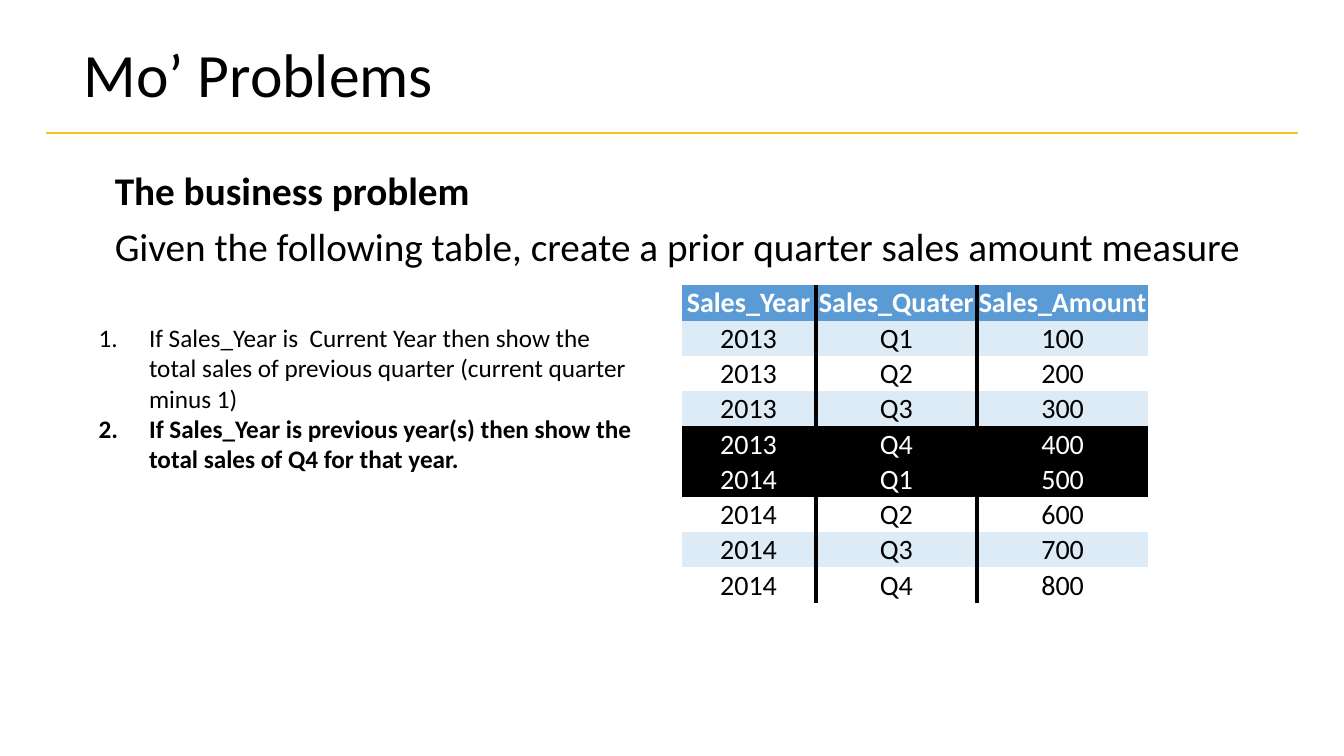
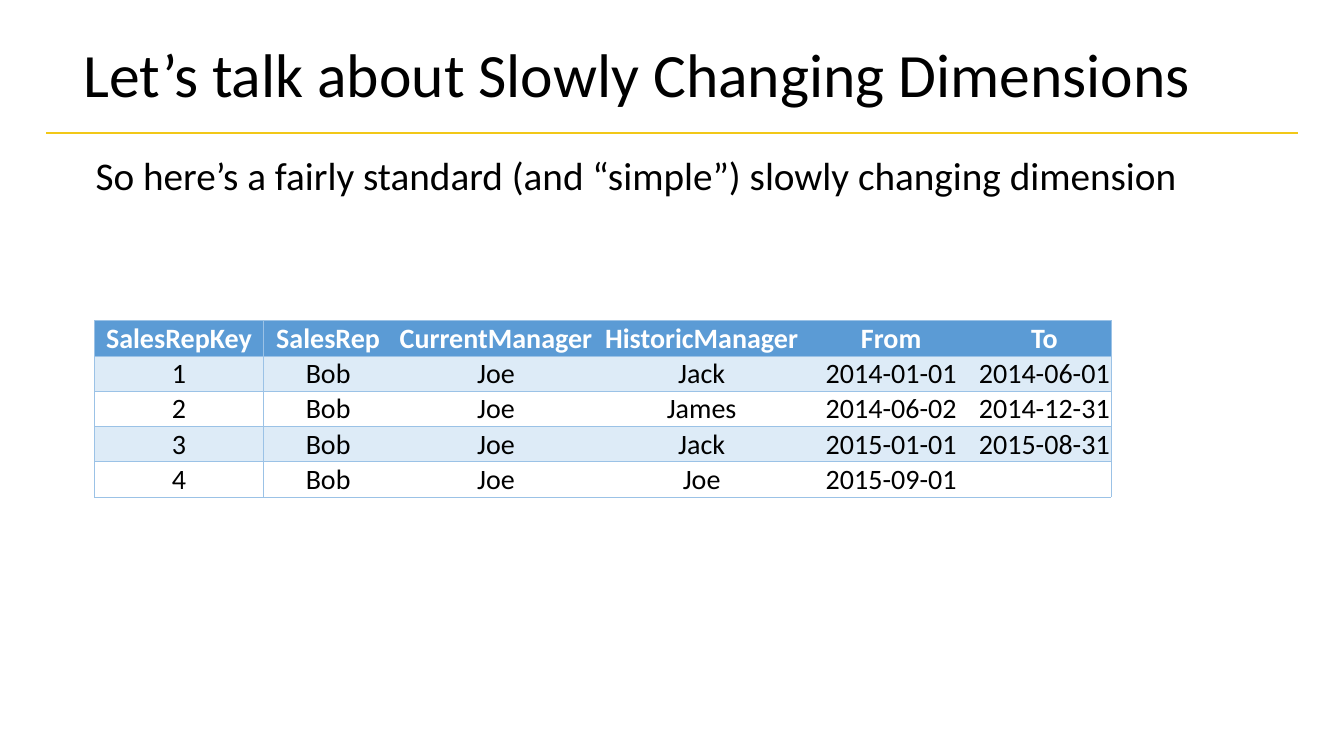
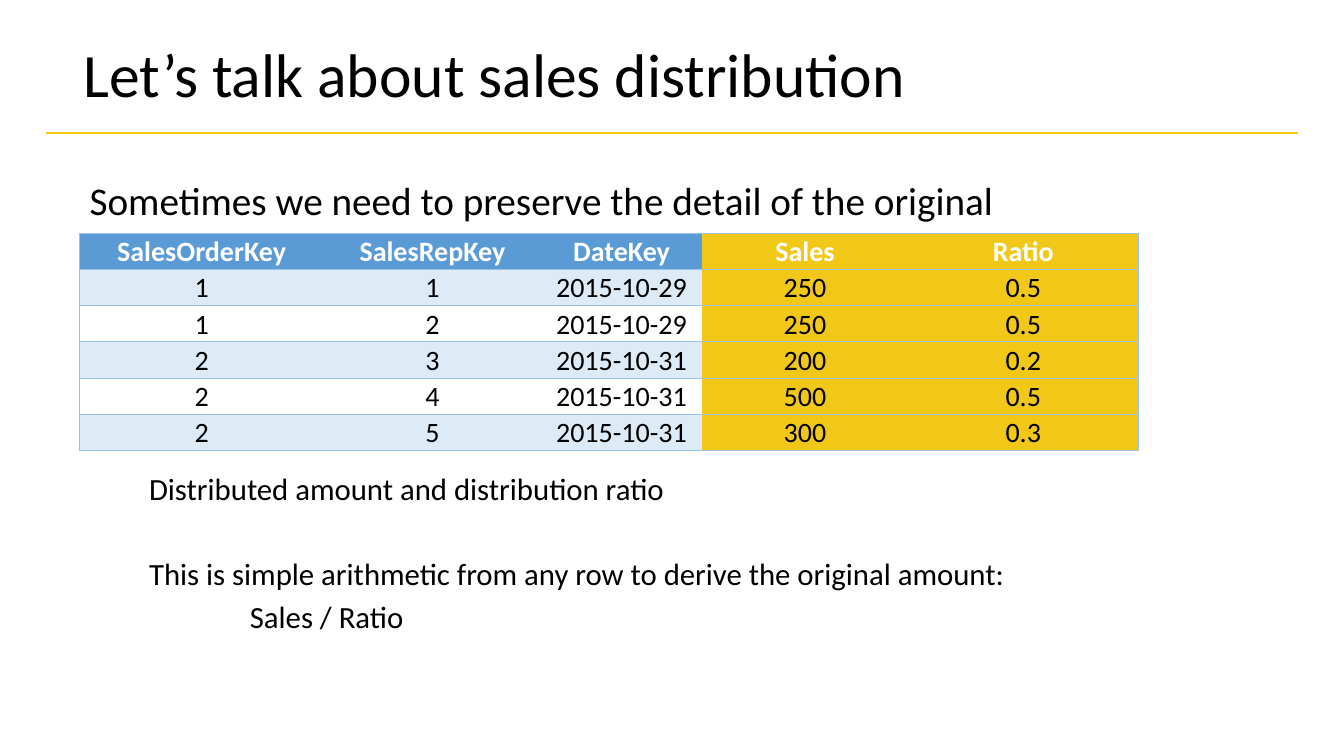
from dataclasses import dataclass

import lxml.etree
import pptx
import pptx.dml.color
import pptx.enum.shapes
import pptx.enum.text
import pptx.oxml.ns
import pptx.presentation
import pptx.shapes.autoshape
import pptx.slide
import pptx.table
import pptx.text.text
import pptx.util
from pptx.util import Inches

RGBColor = pptx.dml.color.RGBColor
Anchor = pptx.enum.text.MSO_ANCHOR
Align = pptx.enum.text.PP_ALIGN
qn = pptx.oxml.ns.qn

BLACK = RGBColor(0x00, 0x00, 0x00)
WHITE = RGBColor(0xFF, 0xFF, 0xFF)
GOLD = RGBColor(0xF2, 0xC8, 0x18)
HEADER_BLUE = RGBColor(0x5B, 0x9B, 0xD5)
BAND_BLUE = RGBColor(0xDD, 0xEB, 0xF7)
GRID_BLUE = RGBColor(0x9B, 0xC2, 0xE6)

FONT = "Calibri"
BODY_INDENT = 0.12


@dataclass(frozen=True)
class Border:
    color: RGBColor
    points: float


@dataclass(frozen=True)
class DataTable:
    """A table's content and rules; column_edges counts from the left side."""
    left: float
    top: float
    row_height: float
    columns: tuple[float, ...]
    rows: tuple[tuple[str, ...], ...]
    border: Border
    column_edges: frozenset[int]
    row_lines: bool = True
    dark_rows: frozenset[int] = frozenset()
    gold_columns: frozenset[int] = frozenset()


THIN_BLUE = Border(GRID_BLUE, 0.5)

QUARTERLY_SALES = DataTable(
    left=6.76, top=2.83, row_height=0.35, columns=(1.33, 1.6, 1.7),
    rows=(
        ("Sales_Year", "Sales_Quater", "Sales_Amount"),
        ("2013", "Q1", "100"),
        ("2013", "Q2", "200"),
        ("2013", "Q3", "300"),
        ("2013", "Q4", "400"),
        ("2014", "Q1", "500"),
        ("2014", "Q2", "600"),
        ("2014", "Q3", "700"),
        ("2014", "Q4", "800"),
    ),
    border=Border(BLACK, 3), column_edges=frozenset({1, 2}),
    row_lines=False, dark_rows=frozenset({4, 5}),
)

SALES_REPS = DataTable(
    left=0.94, top=3.18, row_height=0.35,
    columns=(1.67, 1.29, 2.04, 2.04, 1.72, 1.32),
    rows=(
        ("SalesRepKey", "SalesRep", "CurrentManager", "HistoricManager", "From", "To"),
        ("1", "Bob", "Joe", "Jack", "2014-01-01", "2014-06-01"),
        ("2", "Bob", "Joe", "James", "2014-06-02", "2014-12-31"),
        ("3", "Bob", "Joe", "Jack", "2015-01-01", "2015-08-31"),
        ("4", "Bob", "Joe", "Joe", "2015-09-01", ""),
    ),
    border=THIN_BLUE, column_edges=frozenset({0, 1, 6}),
)

DISTRIBUTED_SALES = DataTable(
    left=0.79, top=2.31, row_height=0.36,
    columns=(2.42, 2.16, 1.59, 2.05, 2.28),
    rows=(
        ("SalesOrderKey", "SalesRepKey", "DateKey", "Sales", "Ratio"),
        ("1", "1", "2015-10-29", "250", "0.5"),
        ("1", "2", "2015-10-29", "250", "0.5"),
        ("2", "3", "2015-10-31", "200", "0.2"),
        ("2", "4", "2015-10-31", "500", "0.5"),
        ("2", "5", "2015-10-31", "300", "0.3"),
    ),
    border=THIN_BLUE, column_edges=frozenset({0, 5}),
    gold_columns=frozenset({3, 4}),
)


def write(frame: pptx.text.text.TextFrame, text: str, *, size: float,
          bold: bool = False, color: RGBColor = BLACK,
          align: Align = Align.LEFT, line_spacing: float = 1.0,
          space_before: float = 0, indent: float = 0, hanging: float = 0,
          numbered: bool = False) -> None:
    """Add one formatted paragraph, using the empty first one if it is free."""
    paragraph = frame.paragraphs[0]
    if paragraph.runs:
        paragraph = frame.add_paragraph()
    properties = paragraph._p.get_or_add_pPr()
    properties.set("marL", str(Inches(indent)))
    properties.set("indent", str(Inches(-hanging)))
    if numbered:
        lxml.etree.SubElement(properties, qn("a:buFont"), typeface=FONT)
        lxml.etree.SubElement(properties, qn("a:buAutoNum"), type="arabicPeriod")
    paragraph.alignment = align
    paragraph.line_spacing = line_spacing
    paragraph.space_before = pptx.util.Pt(space_before)
    run = paragraph.add_run()
    run.text = text
    run.font.name = FONT
    run.font.size = pptx.util.Pt(size)
    run.font.bold = bold
    run.font.color.rgb = color


def add_text_frame(slide: pptx.slide.Slide, left: float, top: float, width: float,
                   height: float, anchor: Anchor = Anchor.TOP) -> pptx.text.text.TextFrame:
    box = slide.shapes.add_textbox(Inches(left), Inches(top), Inches(width), Inches(height))
    box.text_frame.word_wrap = True
    box.text_frame.vertical_anchor = anchor
    return box.text_frame


def write_body(frame: pptx.text.text.TextFrame, text: str, *,
               bold: bool = False, space_before: float = 0) -> None:
    write(frame, text, size=28, bold=bold, line_spacing=0.9,
          space_before=space_before, indent=BODY_INDENT)


def add_titled_slide(deck: pptx.presentation.Presentation, title: str) -> pptx.slide.Slide:
    slide = deck.slides.add_slide(deck.slide_layouts[6])
    rule = slide.shapes.add_connector(
        pptx.enum.shapes.MSO_CONNECTOR.STRAIGHT,
        Inches(0.46), Inches(1.32), Inches(12.87), Inches(1.32))
    rule.line.color.rgb = GOLD
    rule.line.width = pptx.util.Pt(2)
    lxml.etree.SubElement(rule._element.spPr, qn("a:effectLst"))
    frame = add_text_frame(slide, 0.73, 0.22, 11.89, 1.1, Anchor.MIDDLE)
    write(frame, title, size=44, line_spacing=0.9)
    return slide


def set_borders(cell: pptx.table._Cell, border: Border, sides: dict[str, bool]) -> None:
    """Draw the sides marked True and clear the others (keys in L, R, T, B order)."""
    properties = cell._tc.get_or_add_tcPr()
    for side, drawn in sides.items():
        line = lxml.etree.SubElement(properties, qn(f"a:ln{side}"))
        if drawn:
            line.set("w", str(pptx.util.Pt(border.points)))
            fill = lxml.etree.SubElement(line, qn("a:solidFill"))
            lxml.etree.SubElement(fill, qn("a:srgbClr"), val=str(border.color))
        else:
            lxml.etree.SubElement(line, qn("a:noFill"))


def cell_fill(data: DataTable, row: int, column: int) -> RGBColor | None:
    if column in data.gold_columns:
        return GOLD
    if row in data.dark_rows:
        return BLACK
    if row == 0:
        return HEADER_BLUE
    return BAND_BLUE if row % 2 else None


def add_data_table(slide: pptx.slide.Slide, data: DataTable) -> None:
    table = slide.shapes.add_table(
        len(data.rows), len(data.columns), Inches(data.left), Inches(data.top),
        Inches(sum(data.columns)), Inches(data.row_height * len(data.rows))).table
    table.first_row = table.horz_banding = False
    for column, width in zip(table.columns, data.columns):
        column.width = Inches(width)
    for r, values in enumerate(data.rows):
        table.rows[r].height = Inches(data.row_height)
        for c, value in enumerate(values):
            cell = table.cell(r, c)
            cell.vertical_anchor = Anchor.BOTTOM
            cell.margin_left = cell.margin_right = cell.margin_top = Inches(0.01)
            cell.margin_bottom = Inches(0)
            set_borders(cell, data.border, {
                "L": c in data.column_edges, "R": c + 1 in data.column_edges,
                "T": data.row_lines, "B": data.row_lines})
            fill = cell_fill(data, r, c)
            if fill is None:
                cell.fill.background()
            else:
                cell.fill.solid()
                cell.fill.fore_color.rgb = fill
            if value:
                light = r == 0 or r in data.dark_rows
                write(cell.text_frame, value, size=20, bold=r == 0,
                      color=WHITE if light else BLACK, align=Align.CENTER)


def add_problem_slide(deck: pptx.presentation.Presentation) -> None:
    slide = add_titled_slide(deck, "Mo’ Problems")
    body = add_text_frame(slide, 0.92, 1.65, 11.5, 1.1)
    write_body(body, "The business problem", bold=True)
    write_body(body, "Given the following table, create a prior quarter sales amount measure",
               space_before=10)
    add_data_table(slide, QUARTERLY_SALES)
    rules = add_text_frame(slide, 0.76, 3.15, 5.61, 1.92)
    for text, bold in (
        ("If Sales_Year is  Current Year then show the total sales of previous quarter "
         "(current quarter minus 1)", False),
        ("If Sales_Year is previous year(s) then show the total sales of Q4 for that year.", True),
    ):
        write(rules, text, size=18, bold=bold, indent=0.62, hanging=0.5, numbered=True)


def add_dimension_slide(deck: pptx.presentation.Presentation) -> None:
    slide = add_titled_slide(deck, "Let’s talk about Slowly Changing Dimensions")
    body = add_text_frame(slide, 0.73, 1.5, 11.89, 0.72)
    write_body(body, "So here’s a fairly standard (and “simple”) slowly changing dimension")
    add_data_table(slide, SALES_REPS)


def add_distribution_slide(deck: pptx.presentation.Presentation) -> None:
    slide = add_titled_slide(deck, "Let’s talk about sales distribution")
    body = add_text_frame(slide, 0.67, 1.75, 11.11, 0.72)
    write_body(body, "Sometimes we need to preserve the detail of the original")
    explanation = add_text_frame(slide, 1.26, 4.61, 11.11, 2.14)
    for text, space_before, indent in (
        ("Distributed amount and distribution ratio", 0, BODY_INDENT),
        ("This is simple arithmetic from any row to derive the original amount:",
         34.5, BODY_INDENT),
        ("Sales / Ratio", 4, BODY_INDENT + 1),
    ):
        write(explanation, text, size=22, space_before=space_before, indent=indent)
    add_data_table(slide, DISTRIBUTED_SALES)


def main() -> None:
    deck = pptx.Presentation()
    deck.slide_width = Inches(13.33)
    deck.slide_height = Inches(7.5)
    add_problem_slide(deck)
    add_dimension_slide(deck)
    add_distribution_slide(deck)
    deck.save("out.pptx")


if __name__ == "__main__":
    main()
